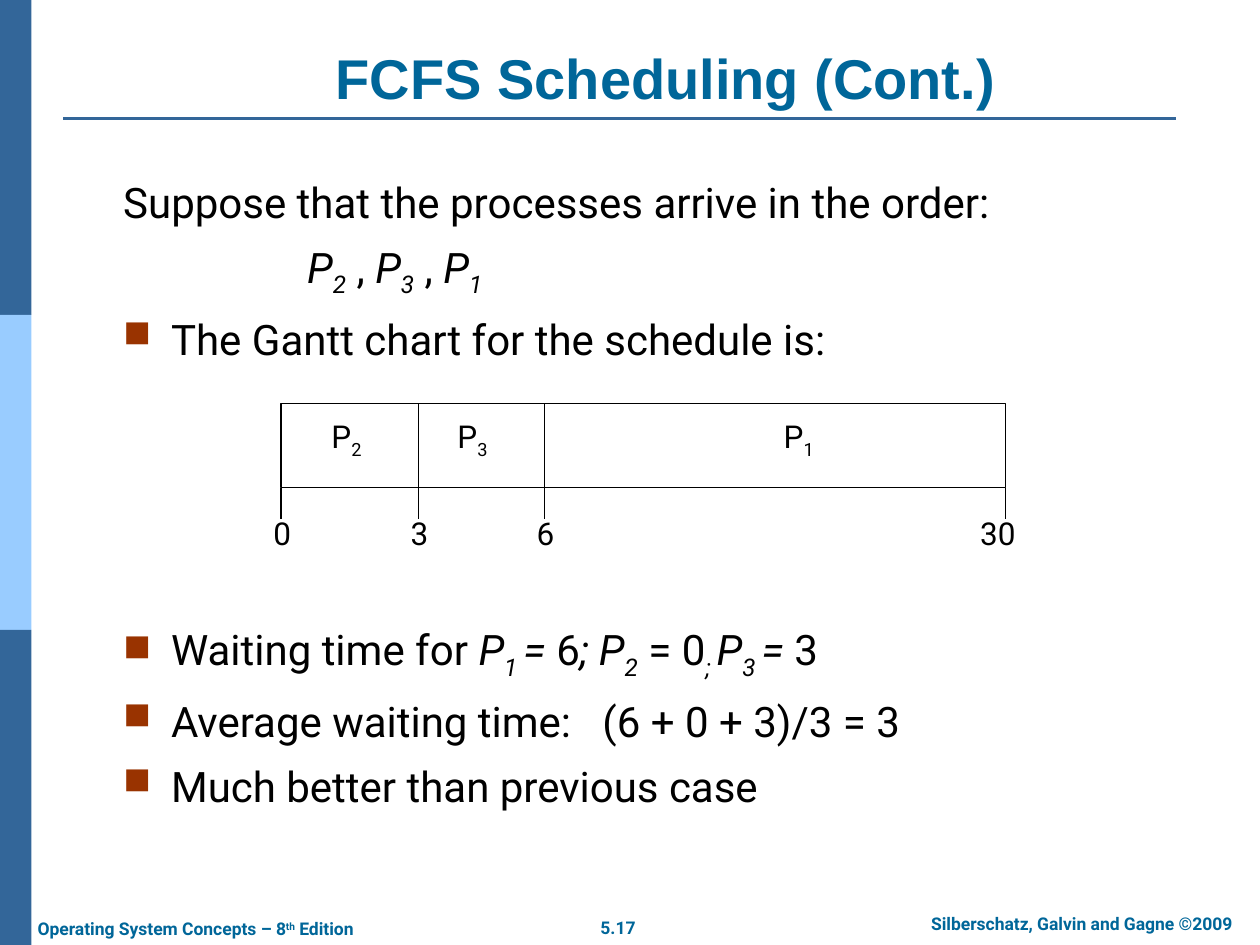
"""Build a slide on first-come first-served scheduling with a Gantt chart."""
from lxml.etree import SubElement
from pptx import Presentation
from pptx.dml.color import RGBColor
from pptx.enum.shapes import MSO_CONNECTOR, MSO_SHAPE
from pptx.enum.text import MSO_ANCHOR, PP_ALIGN
from pptx.oxml.ns import qn
from pptx.util import Inches, Pt

HUES = {"navy": "336699", "sky": "99CCFF", "teal": "006699",
        "rust": "993300", "ink": "000000", "paper": "FFFFFF"}
HUE = {name: RGBColor.from_string(code) for name, code in HUES.items()}
MID, LEFT = PP_ALIGN.CENTER, PP_ALIGN.LEFT
BASE = {"sub": "-25000", "low": "-25000", "sup": "30000"}

deck = Presentation()
deck.slide_width, deck.slide_height = Inches(10), Inches(7.5)
slide = deck.slides.add_slide(deck.slide_layouts[6])
shapes = slide.shapes


def write(place, lines, size, hue="ink", face="Roboto", bold=False,
          align=MID, anchor=MSO_ANCHOR.TOP):
    """Add a text box; each line is (runs, indent, bullet)."""
    frame = shapes.add_textbox(*map(Inches, place)).text_frame
    look = {"word_wrap": place[2] > 1, "vertical_anchor": anchor}
    for key, value in look.items():
        setattr(frame, key, value)
    for num, (runs, indent, bullet) in enumerate(lines):
        para = frame.add_paragraph() if num else frame.paragraphs[0]
        look = {"alignment": align, "space_before": Pt(size * 0.35 if num else 0)}
        for key, value in look.items():
            setattr(para, key, value)
        props = para._p.get_or_add_pPr()
        props.set("marL", str(Inches(indent)))
        if bullet:
            props.set("indent", str(-Inches(indent)))
            tint = SubElement(props, qn("a:buClr"))
            SubElement(tint, qn("a:srgbClr"), val=HUES["rust"])
            SubElement(props, qn("a:buSzPct"), val="90000")
            SubElement(props, qn("a:buChar"), char="■")
        for words, style in runs:
            run = para.add_run()
            run.text = words
            look = {"name": face, "size": Pt(size), "bold": bold,
                    "italic": style in ("ital", "sub")}
            for key, value in look.items():
                setattr(run.font, key, value)
            run.font.color.rgb = HUE[hue]
            if style in BASE:
                run.font._element.set("baseline", BASE[style])


def rule(start, end, hue="ink", weight=0.75):
    """Draw a straight line between two points."""
    line = shapes.add_connector(MSO_CONNECTOR.STRAIGHT, *map(Inches, start + end))
    line.line.color.rgb = HUE[hue]
    line.line.width = Pt(weight)
    SubElement(line._element.spPr, qn("a:effectLst"))


def plain(words):
    return [([(words, "")], 0, False)]


for row, hue in enumerate(("navy", "sky", "navy")):
    band = shapes.add_shape(MSO_SHAPE.RECTANGLE, 0, Inches(2.5 * row),
                            Inches(0.25), Inches(2.5))
    band.shadow.inherit = False
    band.fill.solid()
    band.fill.fore_color.rgb = HUE[hue]
    band.line.fill.background()
rule((0.5, 0.94), (9.33, 0.94), "navy", 1.5)

foot = {"size": 10, "hue": "teal", "bold": True}
book = [("Operating System Concepts – 8", ""), ("th", "sup"), (" Edition", "")]
write((4.66, 7.23, 0.49, 0.27), plain("5.17"), **foot)
write((7.1, 7.2, 2.97, 0.27), plain("Silberschatz, Galvin and Gagne ©2009"), **foot)
write((0.2, 7.24, 2.88, 0.27), [(book, 0, False)], align=LEFT, **foot)
write((1.07, 0.3, 8.43, 0.63), plain("FCFS Scheduling (Cont.)"), 32, "teal",
      "Arial", True, anchor=MSO_ANCHOR.BOTTOM)

order = [("P", "ital"), ("2", "sub"), (" , ", ""), ("P", "ital"), ("3", "sub"),
         (" , ", ""), ("P", "ital"), ("1", "sub")]
waits = [("Waiting time for ", ""), ("P", "ital"), ("1 ", "sub"), ("=", "ital"),
         (" 6", ""), ("; P", "ital"), ("2", "sub"), (" = 0", ""), ("; ", "sub"),
         ("P", "ital"), ("3 ", "sub"), ("= ", "ital"), ("3", "")]
intro = plain("Suppose that the processes arrive in the order:") + [
    (order, 1.46, False),
    ([("The Gantt chart for the schedule is:", "")], 0.38, True)]
result = [(waits, 0.38, True)] + [
    ([(words, "")], 0.38, True)
    for words in ("Average waiting time:   (6 + 0 + 3)/3 = 3",
                  "Much better than previous case")]
write((0.88, 1.35, 9, 1.65), intro, 24, align=LEFT)
write((0.88, 4.9, 9, 1.65), result, 24, align=LEFT)

top, base, tick = 3.2, 3.87, 4.12
marks = {"0": 2.23, "3": 3.32, "6": 4.32, "30": 7.98}
chart = shapes.add_shape(MSO_SHAPE.RECTANGLE, Inches(2.23), Inches(top),
                         Inches(5.75), Inches(base - top))
chart.shadow.inherit = False
chart.fill.solid()
chart.fill.fore_color.rgb = HUE["paper"]
chart.line.color.rgb = HUE["ink"]
chart.line.width = Pt(0.75)

for job, left in (("2", 2.52), ("3", 3.52), ("1", 6.11)):
    write((left, 3.28, 0.46, 0.4), [([("P", ""), (job, "low")], 0, False)], 18,
          anchor=MSO_ANCHOR.MIDDLE)
for time, spot in marks.items():
    rule((spot, base), (spot, tick))
    if time in ("3", "6"):
        rule((spot, top), (spot, base))
    mid = spot - 0.06 if time == "30" else spot + 0.01
    write((mid - 0.24, 4.03, 0.48, 0.4), plain(time), 18, anchor=MSO_ANCHOR.MIDDLE)

deck.save("out.pptx")
